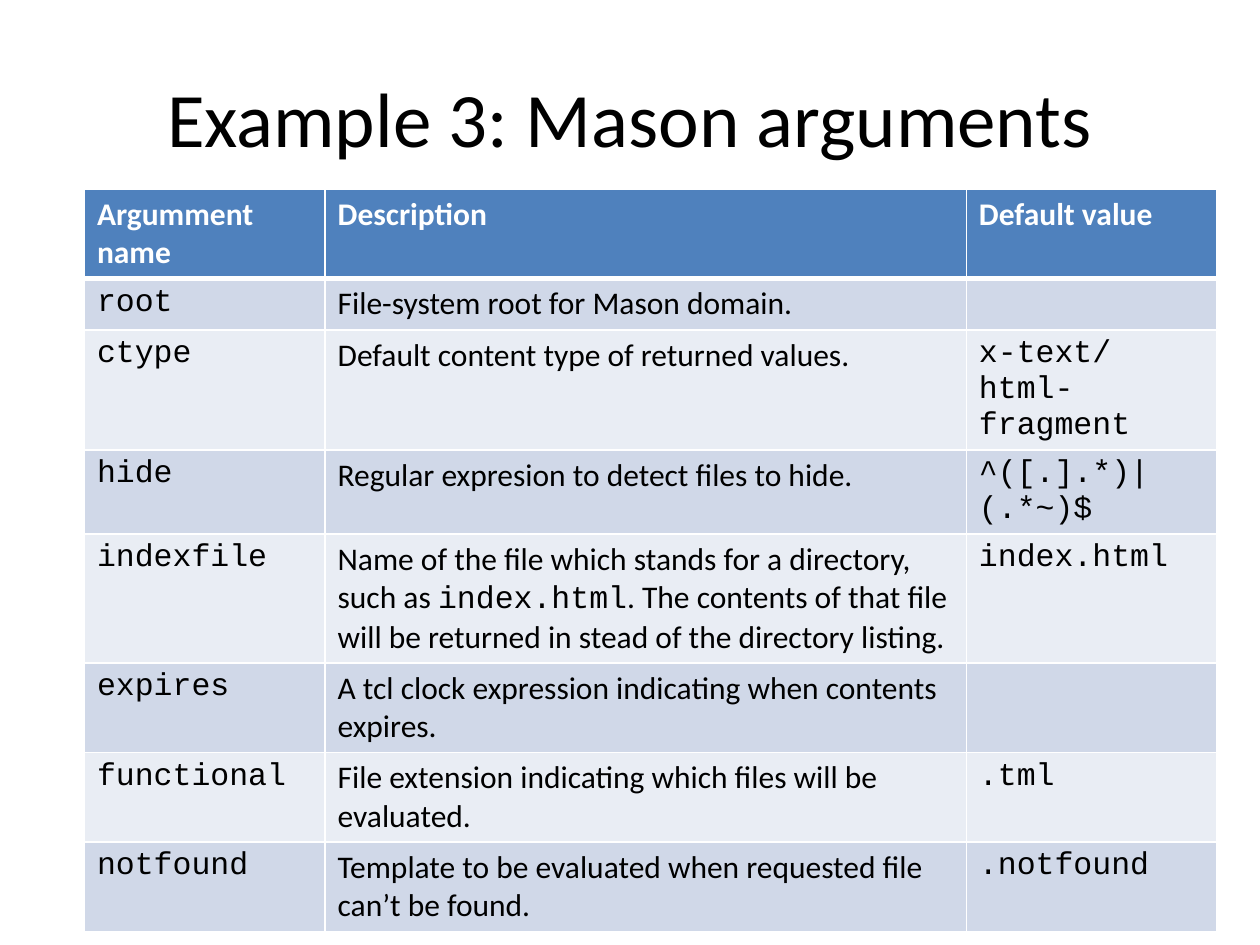
from dataclasses import dataclass

from lxml import etree
from pptx import Presentation
from pptx.dml.color import RGBColor
from pptx.enum.text import MSO_ANCHOR, PP_ALIGN
from pptx.oxml.ns import qn
from pptx.util import Inches, Pt

MIDDLE = MSO_ANCHOR.MIDDLE
CENTER = PP_ALIGN.CENTER


@dataclass(frozen=True)
class Theme:
    body_font: str = "Calibri"
    code_font: str = "Courier New"
    title_size: int = 44
    table_size: int = 18
    ink: str = "000000"
    paper: str = "FFFFFF"
    header: str = "4F81BD"
    bands: tuple = ("D0D8E8", "E9EDF4")
    thin: int = 1
    thick: int = 3


THEME = Theme()
SLIDE_WIDTH, SLIDE_HEIGHT = 10, 7.5
TITLE_AREA = (0.05, 0.04, 0.9, 1 / 6)
TABLE_LEFT, TABLE_TOP = 0.67, 1.5
COLUMN_WIDTHS = (1.91, 5.09, 1.99)
ROW_HEIGHT = 0.41

TITLE = "Example 3: Mason arguments"
HEADINGS = ("Argumment name", "Description", "Default value")
ARGUMENTS = [
    ("root", ["File-system root for Mason domain."], ""),
    ("ctype", ["Default content type of returned values."], "x-text/html-fragment"),
    ("hide", ["Regular expresion to detect files to hide."], "^([.].*)|(.*~)$"),
    (
        "indexfile",
        [
            "Name of the file which stands for a directory, such as ",
            "index.html",
            ". The contents of that file will be returned in stead of the directory listing.",
        ],
        "index.html",
    ),
    ("expires", ["A tcl clock expression indicating when contents expires."], ""),
    ("functional", ["File extension indicating which files will be evaluated."], ".tml"),
    ("notfound", ["Template to be evaluated when requested file can’t be found."], ".notfound"),
]


def add_span(para, text, font, size, color, bold=False):
    span = para.add_run()
    span.text = text
    span.font.name = font
    span.font.size = Pt(size)
    span.font.bold = bold
    span.font.color.rgb = RGBColor.from_string(color)


def set_borders(cell, top, bottom):
    properties = cell._tc.get_or_add_tcPr()
    widths = {"a:lnL": THEME.thin, "a:lnR": THEME.thin, "a:lnT": top, "a:lnB": bottom}
    for tag, width in widths.items():
        line = etree.SubElement(properties, qn(tag), w=str(Pt(width)))
        fill = etree.SubElement(line, qn("a:solidFill"))
        etree.SubElement(fill, qn("a:srgbClr"), val=THEME.paper)


def style_cell(cell, color, top, bottom):
    set_borders(cell, top, bottom)
    cell.fill.solid()
    cell.fill.fore_color.rgb = RGBColor.from_string(color)


def add_title(page):
    title = page.shapes.title
    left, top, width, height = TITLE_AREA
    title.left, title.width = Inches(left * SLIDE_WIDTH), Inches(width * SLIDE_WIDTH)
    title.top, title.height = Inches(top * SLIDE_HEIGHT), Inches(height * SLIDE_HEIGHT)
    title.text_frame.vertical_anchor = MIDDLE
    para = title.text_frame.paragraphs[0]
    para.alignment = CENTER
    add_span(para, TITLE, THEME.body_font, THEME.title_size, THEME.ink)


def add_argument_table(page):
    row_count = len(ARGUMENTS) + 1
    table = page.shapes.add_table(
        row_count, len(HEADINGS), Inches(TABLE_LEFT), Inches(TABLE_TOP),
        Inches(sum(COLUMN_WIDTHS)), Inches(ROW_HEIGHT * row_count),
    ).table
    for column, width in zip(table.columns, COLUMN_WIDTHS):
        column.width = Inches(width)
    for row in table.rows:
        row.height = Inches(ROW_HEIGHT)

    for column, heading in enumerate(HEADINGS):
        cell = table.cell(0, column)
        style_cell(cell, THEME.header, THEME.thin, THEME.thick)
        add_span(cell.text_frame.paragraphs[0], heading, THEME.body_font,
                 THEME.table_size, THEME.paper, bold=True)

    for row, (name, description, default) in enumerate(ARGUMENTS, start=1):
        band = THEME.bands[(row - 1) % len(THEME.bands)]
        top = THEME.thick if row == 1 else THEME.thin
        for column, parts in enumerate(([name], description, [default])):
            cell = table.cell(row, column)
            style_cell(cell, band, top, THEME.thin)
            para = cell.text_frame.paragraphs[0]
            para.font.size = Pt(THEME.table_size)
            for index, text in enumerate(parts):
                is_code = column != 1 or index % 2 == 1
                font = THEME.code_font if is_code else THEME.body_font
                if text:
                    add_span(para, text, font, THEME.table_size, THEME.ink)


def main():
    deck = Presentation()
    deck.slide_width, deck.slide_height = Inches(SLIDE_WIDTH), Inches(SLIDE_HEIGHT)
    page = deck.slides.add_slide(deck.slide_layouts[5])
    add_title(page)
    add_argument_table(page)
    deck.save("out.pptx")


if __name__ == "__main__":
    main()
